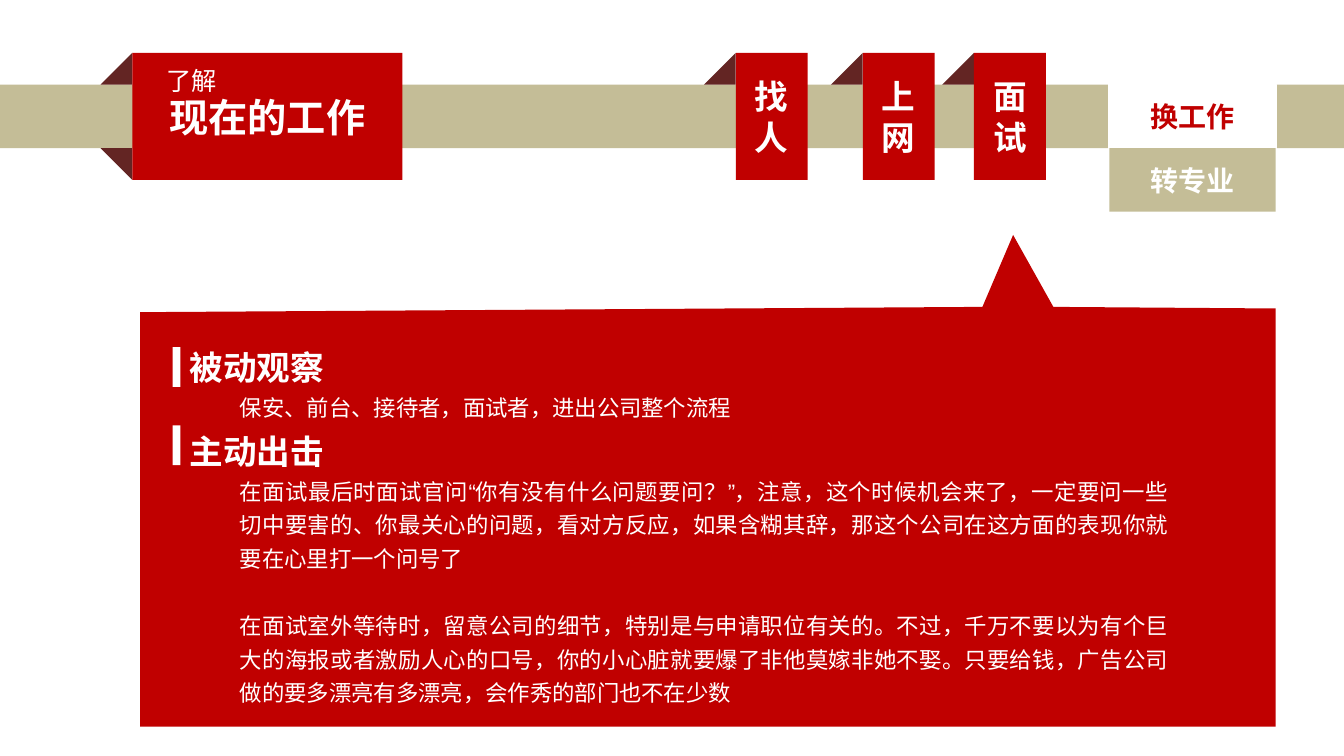
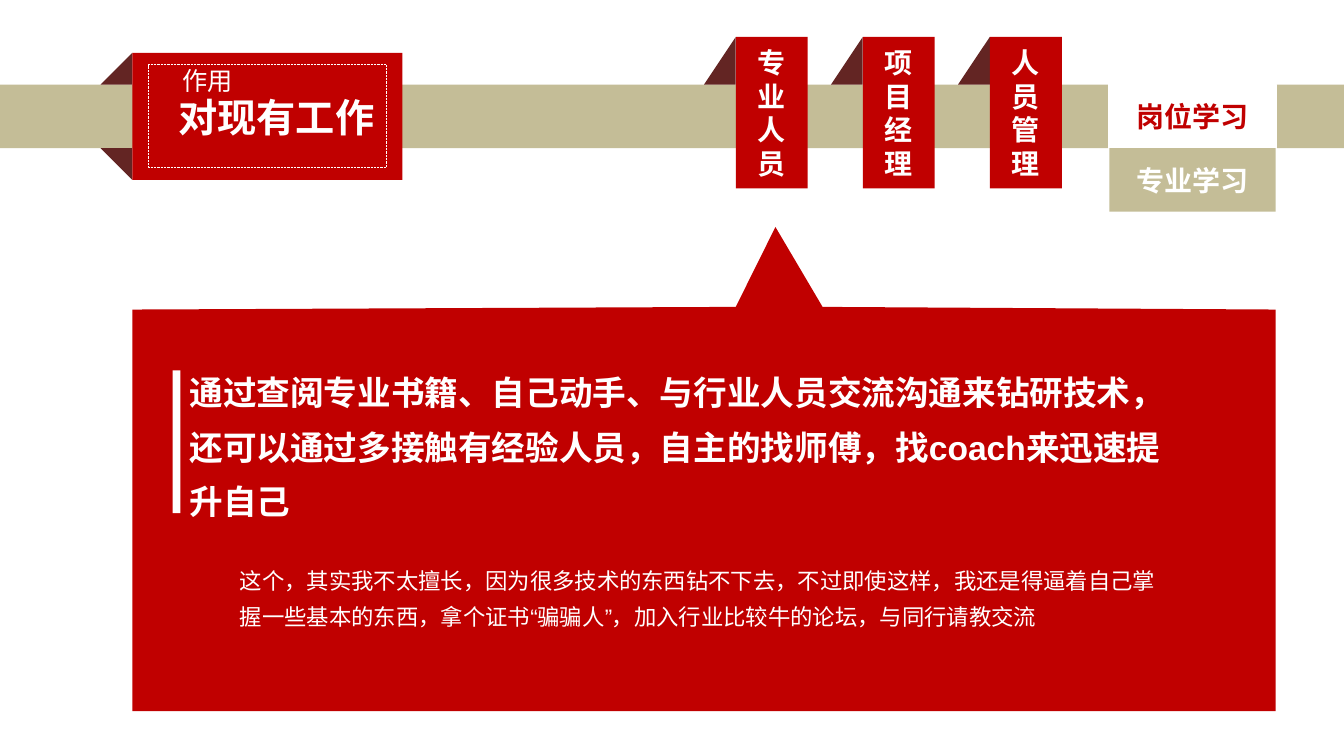
from dataclasses import dataclass

from lxml import etree
from pptx import Presentation
from pptx.dml.color import RGBColor
from pptx.enum.dml import MSO_LINE
from pptx.enum.shapes import MSO_SHAPE
from pptx.enum.text import MSO_ANCHOR, MSO_AUTO_SIZE, PP_ALIGN
from pptx.oxml.ns import qn
from pptx.util import Inches, Pt

RECTANGLE, TRIANGLE = MSO_SHAPE.RECTANGLE, MSO_SHAPE.RIGHT_TRIANGLE
LEFT, CENTER, JUSTIFY = PP_ALIGN.LEFT, PP_ALIGN.CENTER, PP_ALIGN.JUSTIFY
TOP, MIDDLE = MSO_ANCHOR.TOP, MSO_ANCHOR.MIDDLE
NO_AUTOFIT = MSO_AUTO_SIZE.NONE
DOTTED = MSO_LINE.ROUND_DOT

SLIDE_WIDTH, SLIDE_HEIGHT = 13.33, 7.5
CELL = 0.105  # inches per grid column and row
COLUMNS = SLIDE_WIDTH / CELL
FONT = "Arial"
COLORS = {"red": "C00000", "fold": "632523", "sand": "C4BD97", "white": "FFFFFF"}

# Shared places, in grid cells
BAND_TOP, BAND_HEIGHT = 8, 6
FOLD_WIDTH = 3
TITLE_LEFT, TITLE_TOP, TITLE_WIDTH, TITLE_HEIGHT = 12.5, 5, 25.5, 12
TAB_WIDTH = 6.8
SWITCH_LEFT, SWITCH_WIDTH = 104.8, 15.7
PANEL_RIGHT = 120.5
TEXT_LEFT, TEXT_WIDTH = 17.9, 92.6
BAR_LEFT, BAR_WIDTH = 16.3, 0.75


@dataclass
class Paragraph:
    text: str
    size: float
    line: float
    bold: bool = False
    indent: float = 0
    before: float = 0
    align: int = JUSTIFY


@dataclass
class Tabs:
    labels: dict[str, float]  # label to left column
    top: float
    height: float
    size: float


@dataclass
class Panel:
    outline: list[tuple[float, float]]
    text_top: float
    bars: list[tuple[float, float]]  # top and height
    paragraphs: list[Paragraph]


@dataclass
class Page:
    title: str
    kicker: str
    kicker_left: float
    title_inset: float
    framed: bool
    tabs: Tabs
    switch: tuple[str, str]
    panel: Panel


def heading(text: str, line: float, align: int = JUSTIFY) -> Paragraph:
    return Paragraph(text, 24, line, bold=True, align=align)


def detail(text: str, line: float, before: float = 0, align: int = JUSTIFY) -> Paragraph:
    return Paragraph(text, 16, line, indent=0.5, before=before, align=align)


PAGES = [
    Page(
        "现在的工作", "了解", 1.55, 0.1, False,
        Tabs({"找人": 69.5, "上网": 81.5, "面试": 92}, 5, 12, 24),
        ("换工作", "转专业"),
        Panel(
            [(13.25, 68.65), (13.25, 29.5), (92.8, 29), (95.7, 22.2),
             (99.5, 29), (PANEL_RIGHT, 29.15), (PANEL_RIGHT, 68.65)],
            31.8, [(32.8, 3.75), (40.2, 3.75)],
            [
                heading("被动观察", 36),
                detail("保安、前台、接待者，面试者，进出公司整个流程", 24),
                heading("主动出击", 36),
                detail("在面试最后时面试官问“你有没有什么问题要问？”，注意，这个时候机会来了，"
                       "一定要问一些切中要害的、你最关心的问题，看对方反应，如果含糊其辞，"
                       "那这个公司在这方面的表现你就要在心里打一个问号了", 24),
                detail("在面试室外等待时，留意公司的细节，特别是与申请职位有关的。不过，"
                       "千万不要以为有个巨大的海报或者激励人心的口号，你的小心脏就要爆了"
                       "非他莫嫁非她不娶。只要给钱，广告公司做的要多漂亮有多漂亮，"
                       "会作秀的部门也不在少数", 24, before=24),
            ],
        ),
    ),
    Page(
        "对现有工作", "作用", 1.71, 0.28, True,
        Tabs({"专业人员": 69.5, "项目经理": 81.5, "人员管理": 93.5}, 3.5, 14.3, 20),
        ("岗位学习", "专业学习"),
        Panel(
            [(12.5, 67.2), (12.5, 29.25), (69.5, 29), (73.25, 21.45),
             (77.7, 29), (PANEL_RIGHT, 29.25), (PANEL_RIGHT, 67.2)],
            33.8, [(35, 13.5)],
            [
                heading("通过查阅专业书籍、自己动手、与行业人员交流沟通来钻研技术，"
                        "还可以通过多接触有经验人员，自主的找师傅，找coach来迅速提升自己",
                        39, LEFT),
                detail("这个，其实我不太擅长，因为很多技术的东西钻不下去，不过即使这样，"
                       "我还是得逼着自己掌握一些基本的东西，拿个证书“骗骗人”，"
                       "加入行业比较牛的论坛，与同行请教交流", 25.7, before=26, align=LEFT),
            ],
        ),
    ),
]


def cells(count: float) -> int:
    return Inches(count * CELL)


def color(name: str) -> RGBColor:
    return RGBColor.from_string(COLORS[name])


def paint(shape, fill: str | None) -> None:
    """Give a shape a plain fill and no outline."""
    if fill:
        shape.fill.solid()
        shape.fill.fore_color.rgb = color(fill)
    else:
        shape.fill.background()
    shape.line.fill.background()


def add_block(slide, left: float, top: float, width: float, height: float,
              fill: str | None, kind: int = RECTANGLE, flips: str = ""):
    shape = slide.shapes.add_shape(kind, cells(left), cells(top), cells(width), cells(height))
    shape.shadow.inherit = False
    paint(shape, fill)
    for axis in flips:
        shape.element.spPr.xfrm.set(f"flip{axis}", "1")
    return shape


def write(paragraph, text: str, *, size: float, bold: bool = False,
          ink: str = "white", align: int = CENTER) -> None:
    paragraph.alignment = align
    run = paragraph.add_run()
    run.text = text
    run.font.size, run.font.bold, run.font.name = Pt(size), bold, FONT
    run.font.color.rgb = color(ink)
    properties = run.font.color.rgb and run._r.get_or_add_rPr()
    etree.SubElement(properties, qn("a:ea")).set("typeface", FONT)


def label(shape, text: str, **style) -> None:
    frame = shape.text_frame
    frame.word_wrap = True
    frame.vertical_anchor = MIDDLE
    write(frame.paragraphs[0], text, bold=True, **style)


def draw_title(slide, page: Page) -> None:
    # Folded corners above and below the band
    fold_left = TITLE_LEFT - FOLD_WIDTH
    for top, flips in ((TITLE_TOP, "H"), (BAND_TOP + BAND_HEIGHT, "HV")):
        add_block(slide, fold_left, top, FOLD_WIDTH, FOLD_WIDTH, "fold", TRIANGLE, flips)

    # Title placeholder, brought in front of the band
    title = slide.shapes.title
    title.element.getparent().append(title.element)
    title.left, title.top = cells(TITLE_LEFT), cells(TITLE_TOP)
    title.width, title.height = cells(TITLE_WIDTH), cells(TITLE_HEIGHT)
    paint(title, "red")
    title.text_frame.auto_size = NO_AUTOFIT
    title.text_frame.margin_left = Inches(page.title_inset)
    label(title, page.title, size=28)

    # Small line above the title
    kicker = slide.shapes.add_textbox(Inches(page.kicker_left), Inches(0.6), Inches(1), Inches(0.4))
    write(kicker.text_frame.paragraphs[0], page.kicker, size=18, align=LEFT)

    if page.framed:
        frame = add_block(slide, 14, 6.1, 22.5, 9.7, None)
        frame.line.color.rgb = color("white")
        frame.line.width = Pt(0.5)
        frame.line.dash_style = DOTTED


def draw_tabs(slide, tabs: Tabs) -> None:
    for text, left in tabs.labels.items():
        add_block(slide, left - FOLD_WIDTH, tabs.top, FOLD_WIDTH, BAND_TOP - tabs.top,
                  "fold", TRIANGLE, "H")
        tab = add_block(slide, left, tabs.top, TAB_WIDTH, tabs.height, "red")
        label(tab, text, size=tabs.size)


def draw_switch(slide, texts: tuple[str, str]) -> None:
    styles = (("white", "red"), ("sand", "white"))
    for row, (text, (fill, ink)) in enumerate(zip(texts, styles)):
        box = add_block(slide, SWITCH_LEFT, BAND_TOP + row * BAND_HEIGHT,
                        SWITCH_WIDTH, BAND_HEIGHT, fill)
        if row == 0:
            box.line.color.rgb = color("white")
            box.line.width = Pt(2)
        label(box, text, size=20, ink=ink)


def draw_panel(slide, panel: Panel) -> None:
    # Callout outline with its pointer
    points = [(cells(x), cells(y)) for x, y in panel.outline]
    builder = slide.shapes.build_freeform(*points[0])
    builder.add_line_segments(points[1:], close=True)
    callout = builder.convert_to_shape()
    callout.shadow.inherit = False
    paint(callout, "red")

    # Body text
    bottom = panel.outline[0][1]
    box = slide.shapes.add_textbox(cells(TEXT_LEFT), cells(panel.text_top),
                                   cells(TEXT_WIDTH), cells(bottom - panel.text_top))
    frame = box.text_frame
    frame.word_wrap = True
    frame.vertical_anchor = TOP
    frame.margin_left = frame.margin_right = frame.margin_top = frame.margin_bottom = 0
    for index, item in enumerate(panel.paragraphs):
        paragraph = frame.add_paragraph() if index else frame.paragraphs[0]
        paragraph.line_spacing = Pt(item.line)
        if item.before:
            paragraph.space_before = Pt(item.before)
        if item.indent:
            paragraph._p.get_or_add_pPr().set("marL", str(Inches(item.indent)))
        write(paragraph, item.text, size=item.size, bold=item.bold, align=item.align)

    # Heading bars
    for top, height in panel.bars:
        add_block(slide, BAR_LEFT, top, BAR_WIDTH, height, "white")


def draw_page(presentation, page: Page) -> None:
    slide = presentation.slides.add_slide(presentation.slide_layouts[5])
    add_block(slide, 0, BAND_TOP, COLUMNS, BAND_HEIGHT, "sand")
    draw_title(slide, page)
    draw_tabs(slide, page.tabs)
    draw_switch(slide, page.switch)
    draw_panel(slide, page.panel)


def main() -> None:
    presentation = Presentation()
    presentation.slide_width = Inches(SLIDE_WIDTH)
    presentation.slide_height = Inches(SLIDE_HEIGHT)
    for page in PAGES:
        draw_page(presentation, page)
    presentation.save("out.pptx")


if __name__ == "__main__":
    main()
